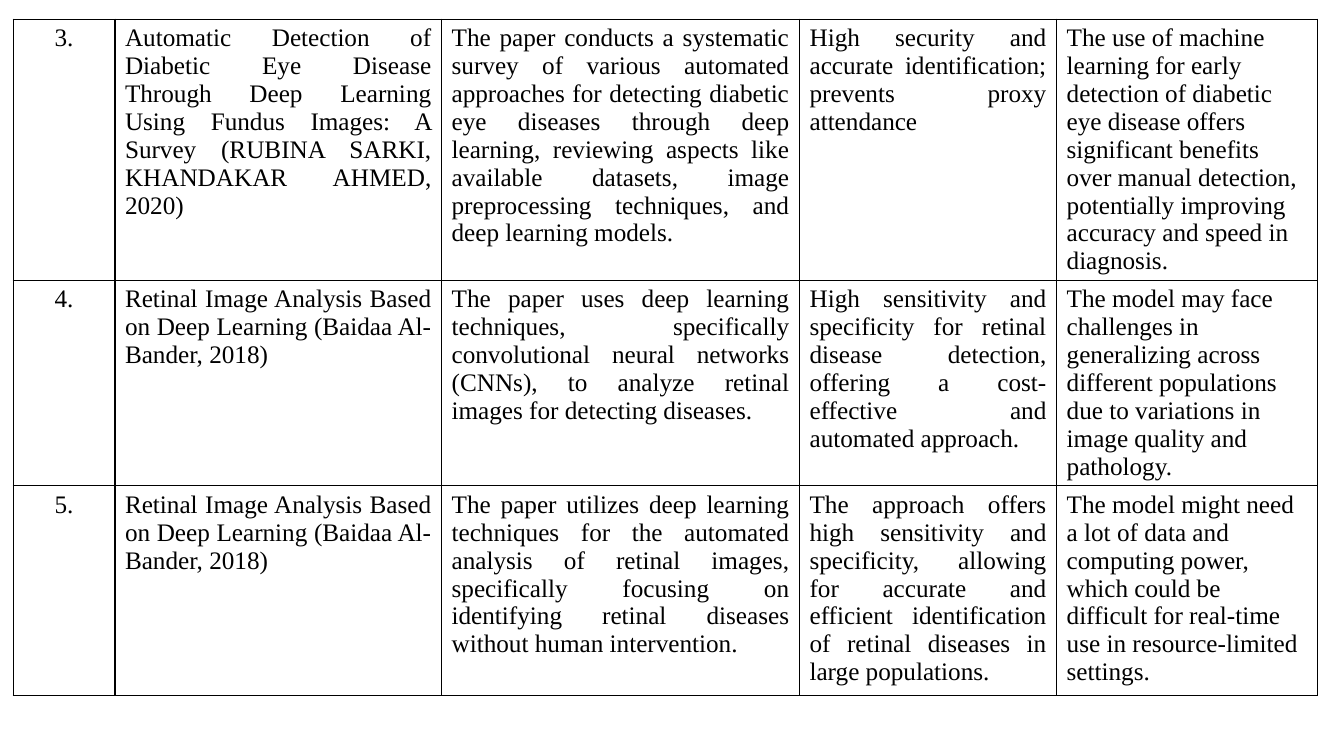
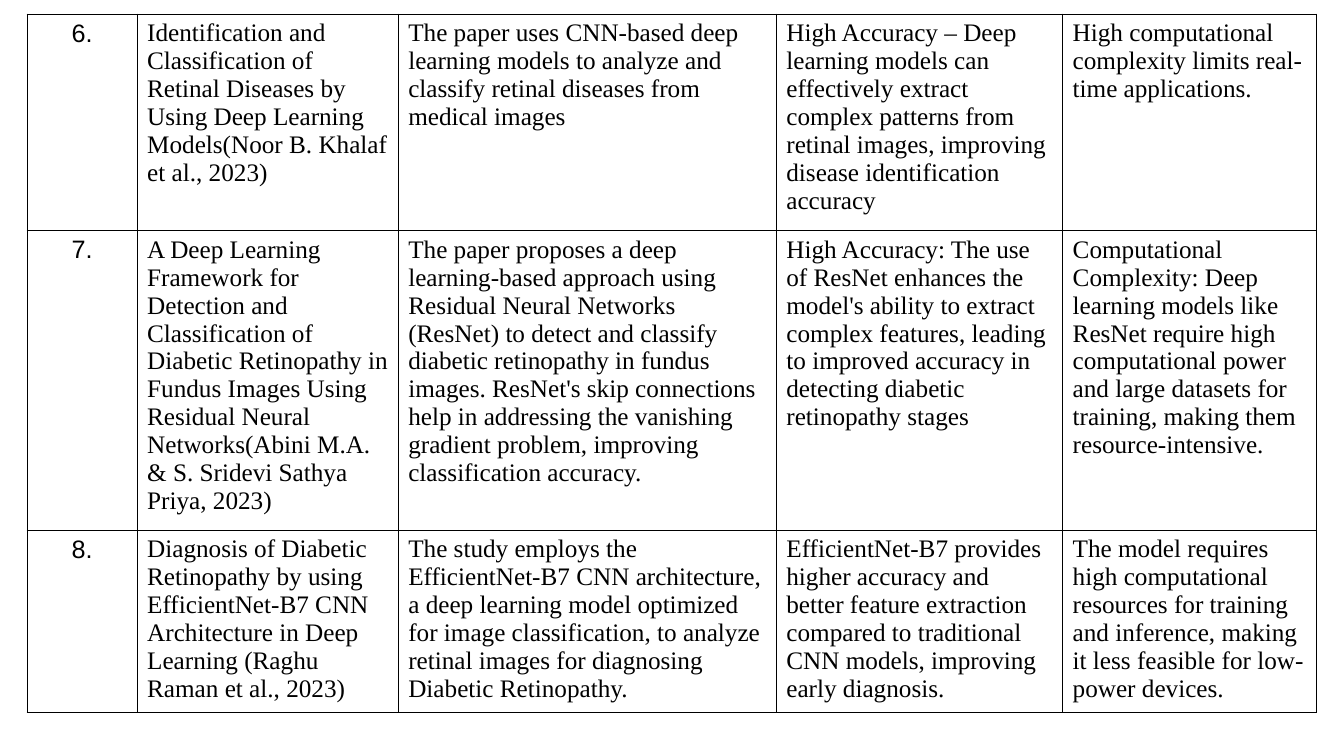
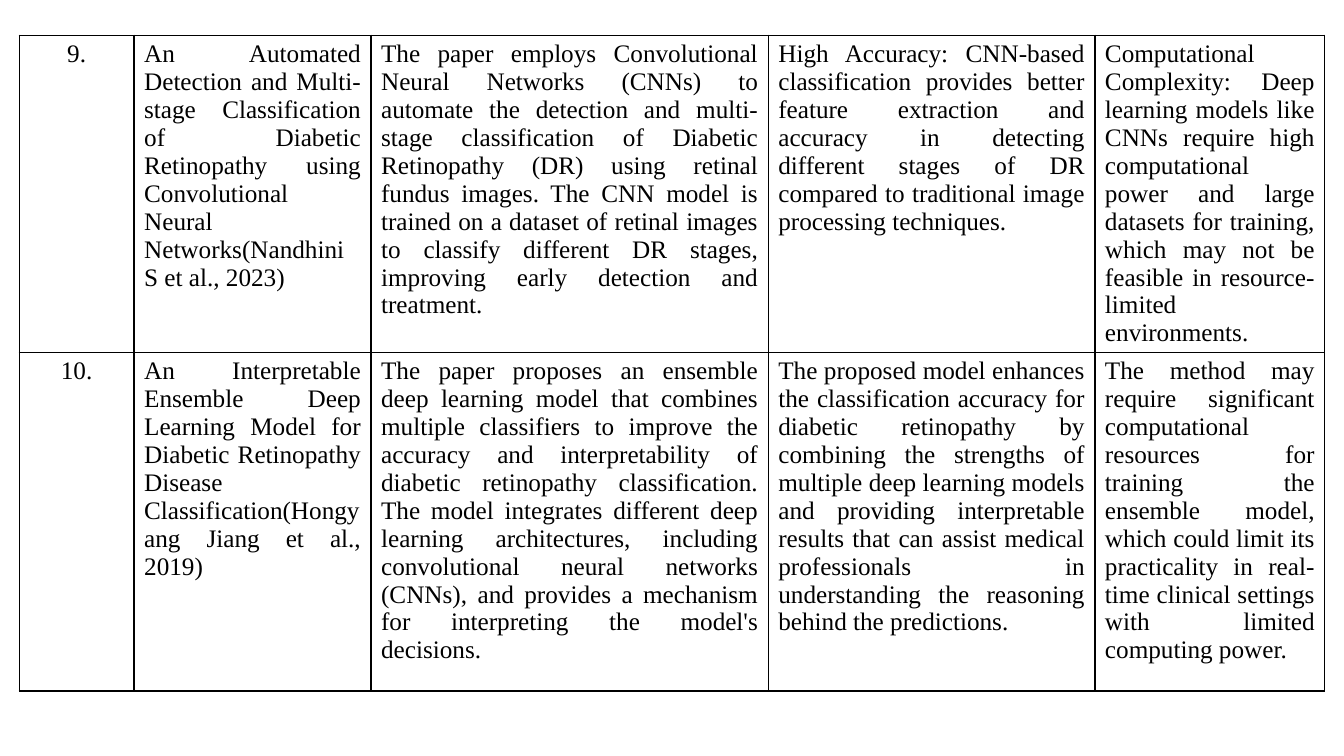
from dataclasses import dataclass

from pptx import Presentation
from pptx.dml.color import RGBColor
from pptx.enum.text import PP_ALIGN as Align
from pptx.oxml import parse_xml
from pptx.oxml.ns import nsdecls
from pptx.util import Inches, Pt

# Shared style
BLACK = "000000"
WHITE = "FFFFFF"
SERIF = "Times New Roman"
SANS = "Arial"
TEXT_SIZE = 18
BORDER_WIDTH = 1
BLANK_LAYOUT = 6

# Alignment of the five columns: number, paper, method, advantage, limitation
RAGGED = (Align.CENTER,) + (Align.LEFT,) * 4
JUSTIFIED = (Align.CENTER,) + (Align.JUSTIFY,) * 4
MIXED = (Align.CENTER,) + (Align.JUSTIFY,) * 3 + (Align.LEFT,)


@dataclass(frozen=True)
class Study:
    """One row of the literature survey."""
    height: float
    paper: str
    method: str
    advantage: str
    limitation: str


@dataclass(frozen=True)
class SurveyPage:
    """One slide: a table of consecutive studies."""
    left: float
    top: float
    widths: tuple[float, ...]
    aligns: tuple[Align, ...]
    first_number: int
    studies: tuple[Study, ...]
    number_font: str = SERIF


RETINAL_ANALYSIS = "Retinal Image Analysis Based on Deep Learning (Baidaa Al-Bander, 2018)"

PAGES = (
    SurveyPage(
        0.13, 0.19, (1.01, 3.24, 3.55, 2.55, 2.59), MIXED, 3,
        (
            Study(
                2.35,
                "Automatic Detection of Diabetic Eye Disease Through Deep Learning "
                "Using Fundus Images: A Survey (RUBINA SARKI, KHANDAKAR AHMED, 2020)",
                "The paper conducts a systematic survey of various automated approaches "
                "for detecting diabetic eye diseases through deep learning, reviewing "
                "aspects like available datasets, image preprocessing techniques, and "
                "deep learning models.",
                "High security and accurate identification; prevents proxy attendance",
                "The use of machine learning for early detection of diabetic eye disease "
                "offers significant benefits over manual detection, potentially improving "
                "accuracy and speed in diagnosis.",
            ),
            Study(
                1.97,
                RETINAL_ANALYSIS,
                "The paper uses deep learning techniques, specifically convolutional "
                "neural networks (CNNs), to analyze retinal images for detecting diseases.",
                "High sensitivity and specificity for retinal disease detection, offering "
                "a cost-effective and automated approach.",
                "The model may face challenges in generalizing across different "
                "populations due to variations in image quality and pathology.",
            ),
            Study(
                2.08,
                RETINAL_ANALYSIS,
                "The paper utilizes deep learning techniques for the automated analysis "
                "of retinal images, specifically focusing on identifying retinal diseases "
                "without human intervention.",
                "The approach offers high sensitivity and specificity, allowing for "
                "accurate and efficient identification of retinal diseases in large "
                "populations.",
                "The model might need a lot of data and computing power, which could be "
                "difficult for real-time use in resource-limited settings.",
            ),
        ),
    ),
    SurveyPage(
        0.27, 0.14, (1.09, 2.59, 3.75, 2.84, 2.52), RAGGED, 6,
        (
            Study(
                2.15,
                "Identification and Classification of Retinal Diseases by Using Deep "
                "Learning Models(Noor B. Khalaf et al., 2023)",
                "The paper uses CNN-based deep learning models to analyze and classify "
                "retinal diseases from medical images",
                "High Accuracy – Deep learning models can effectively extract complex "
                "patterns from retinal images, improving disease identification accuracy",
                "High computational complexity limits real-time applications.",
            ),
            Study(
                2.97,
                "A Deep Learning Framework for Detection and Classification of Diabetic "
                "Retinopathy in Fundus Images Using Residual Neural Networks(Abini M.A. "
                "& S. Sridevi Sathya Priya, 2023)",
                "The paper proposes a deep learning-based approach using Residual Neural "
                "Networks (ResNet) to detect and classify diabetic retinopathy in fundus "
                "images. ResNet's skip connections help in addressing the vanishing "
                "gradient problem, improving classification accuracy.",
                "High Accuracy: The use of ResNet enhances the model's ability to extract "
                "complex features, leading to improved accuracy in detecting diabetic "
                "retinopathy stages",
                "Computational Complexity: Deep learning models like ResNet require high "
                "computational power and large datasets for training, making them "
                "resource-intensive.",
            ),
            Study(
                1.81,
                "Diagnosis of Diabetic Retinopathy by using EfficientNet-B7 CNN "
                "Architecture in Deep Learning (Raghu Raman et al., 2023)",
                "The study employs the EfficientNet-B7 CNN architecture, a deep learning "
                "model optimized for image classification, to analyze retinal images for "
                "diagnosing Diabetic Retinopathy.",
                "EfficientNet-B7 provides higher accuracy and better feature extraction "
                "compared to traditional CNN models, improving early diagnosis.",
                "The model requires high computational resources for training and "
                "inference, making it less feasible for low-power devices.",
            ),
        ),
        number_font=SANS,
    ),
    SurveyPage(
        0.19, 0.35, (1.14, 2.35, 3.94, 3.24, 2.28), JUSTIFIED, 9,
        (
            Study(
                2.87,
                "An Automated Detection and Multi-stage Classification of Diabetic "
                "Retinopathy using Convolutional Neural Networks(Nandhini S et al., 2023)",
                "The paper employs Convolutional Neural Networks (CNNs) to automate the "
                "detection and multi-stage classification of Diabetic Retinopathy (DR) "
                "using retinal fundus images. The CNN model is trained on a dataset of "
                "retinal images to classify different DR stages, improving early "
                "detection and treatment.",
                "High Accuracy: CNN-based classification provides better feature "
                "extraction and accuracy in detecting different stages of DR compared to "
                "traditional image processing techniques.",
                "Computational Complexity: Deep learning models like CNNs require high "
                "computational power and large datasets for training, which may not be "
                "feasible in resource-limited environments.",
            ),
            Study(
                3.36,
                "An Interpretable Ensemble Deep Learning Model for Diabetic Retinopathy "
                "Disease Classification(Hongyang Jiang et al., 2019)",
                "The paper proposes an ensemble deep learning model that combines "
                "multiple classifiers to improve the accuracy and interpretability of "
                "diabetic retinopathy classification. The model integrates different deep "
                "learning architectures, including convolutional neural networks (CNNs), "
                "and provides a mechanism for interpreting the model's decisions.",
                "The proposed model enhances the classification accuracy for diabetic "
                "retinopathy by combining the strengths of multiple deep learning models "
                "and providing interpretable results that can assist medical "
                "professionals in understanding the reasoning behind the predictions.",
                "The method may require significant computational resources for training "
                "the ensemble model, which could limit its practicality in real-time "
                "clinical settings with limited computing power.",
            ),
        ),
    ),
)


def color(code: str) -> RGBColor:
    return RGBColor.from_string(code)


def add_borders(cell) -> None:
    """Rule all four sides; the lines must precede the fill in the XML."""
    properties = cell._tc.get_or_add_tcPr()
    for position, side in enumerate(("lnL", "lnR", "lnT", "lnB")):
        properties.insert(position, parse_xml(
            f'<a:{side} {nsdecls("a")} w="{Pt(BORDER_WIDTH)}"><a:solidFill>'
            f'<a:srgbClr val="{BLACK}"/></a:solidFill></a:{side}>'
        ))


def fill_cell(cell, text: str, align: Align, font_name: str) -> None:
    cell.fill.solid()
    cell.fill.fore_color.rgb = color(WHITE)
    add_borders(cell)
    para = cell.text_frame.paragraphs[0]
    para.text = text
    para.alignment = align
    para.font.name = font_name
    para.font.size = Pt(TEXT_SIZE)
    para.font.color.rgb = color(BLACK)


def add_survey(deck, page: SurveyPage) -> None:
    slide = deck.slides.add_slide(deck.slide_layouts[BLANK_LAYOUT])
    frame = slide.shapes.add_table(
        len(page.studies), len(page.widths),
        Inches(page.left), Inches(page.top),
        Inches(sum(page.widths)), Inches(sum(study.height for study in page.studies)),
    )
    table = frame.table
    table.first_row = False
    table.horz_banding = False
    for column, width in zip(table.columns, page.widths):
        column.width = Inches(width)

    # One row per study, numbered on from the previous slide
    fonts = (page.number_font,) + (SERIF,) * 4
    for number, (row, study) in enumerate(zip(table.rows, page.studies), page.first_number):
        row.height = Inches(study.height)
        texts = (f"{number}.", study.paper, study.method, study.advantage, study.limitation)
        for cell, text, align, font_name in zip(row.cells, texts, page.aligns, fonts):
            fill_cell(cell, text, align, font_name)


def main() -> None:
    deck = Presentation()
    deck.slide_width = Inches(13.33)
    deck.slide_height = Inches(7.5)
    for page in PAGES:
        add_survey(deck, page)
    deck.save("out.pptx")


if __name__ == "__main__":
    main()
